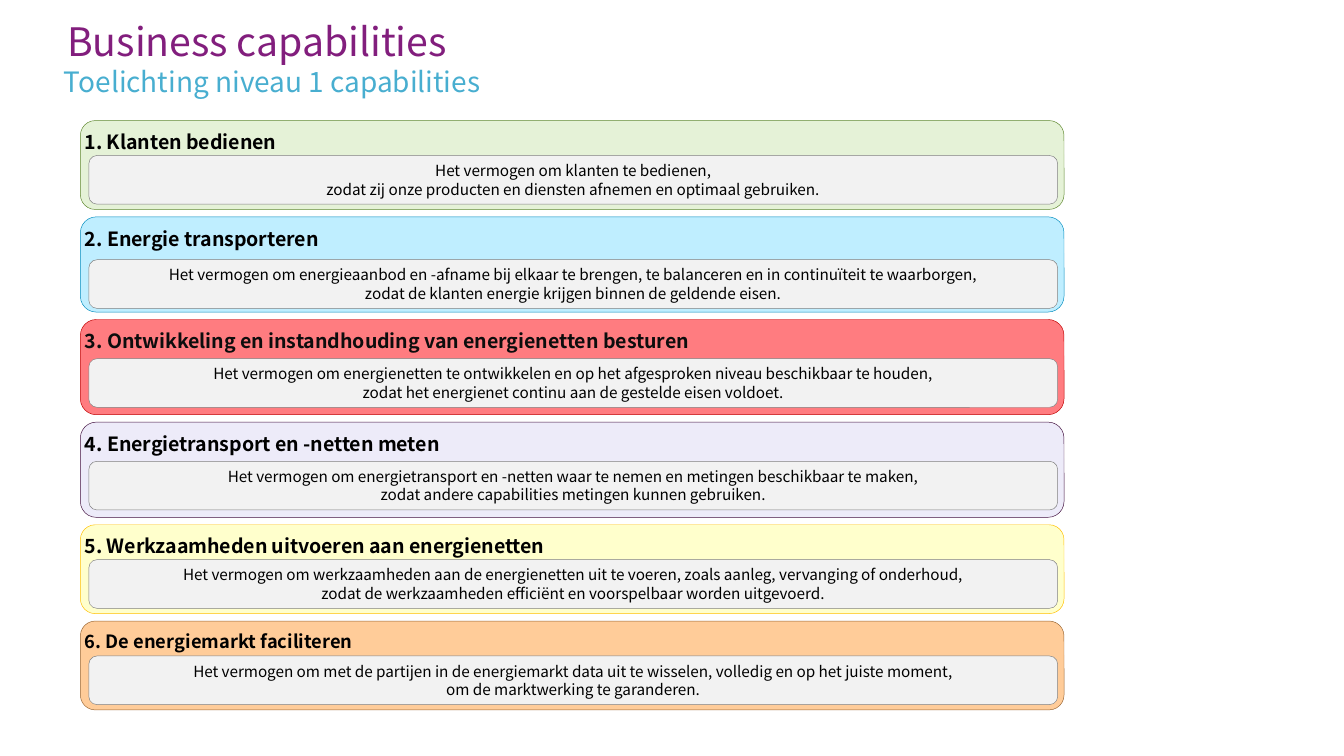
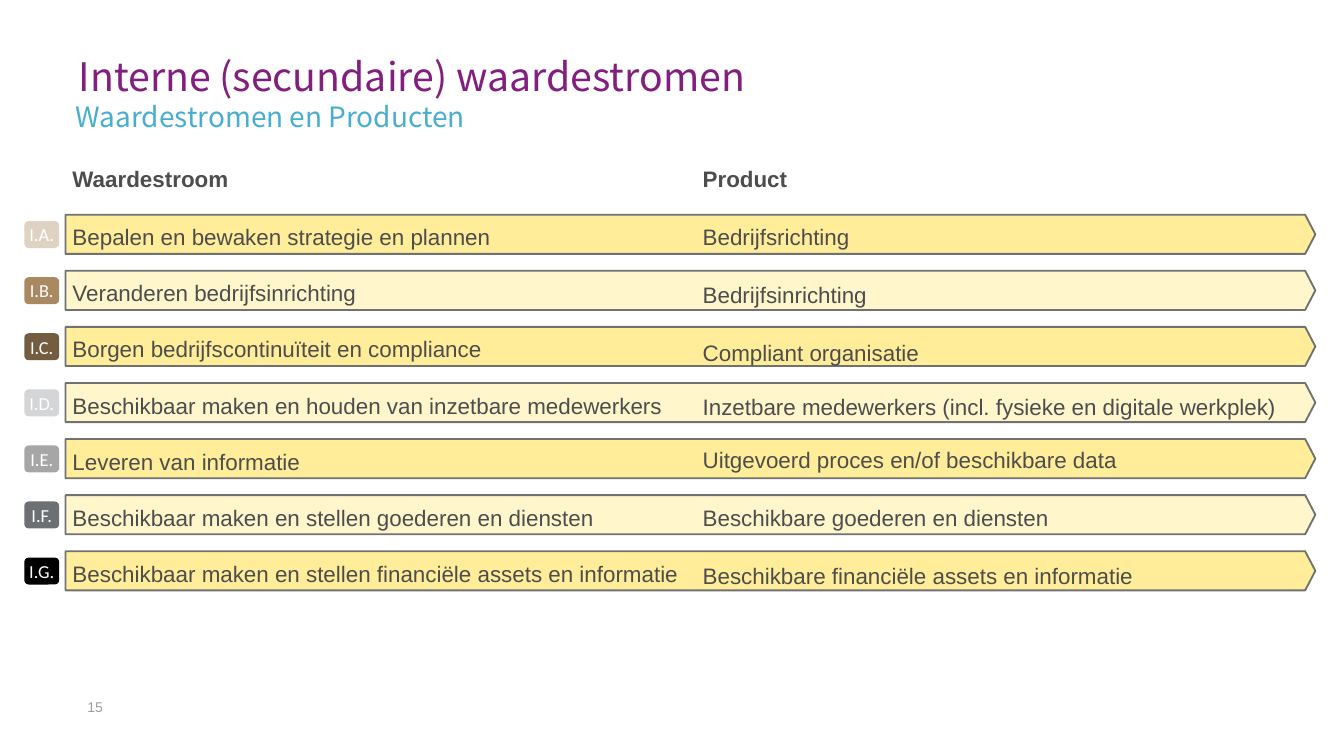
from dataclasses import dataclass

from lxml.etree import SubElement
from pptx import Presentation
from pptx.dml.color import RGBColor
from pptx.enum.shapes import MSO_SHAPE
from pptx.enum.text import MSO_ANCHOR, MSO_AUTO_SIZE, PP_ALIGN
from pptx.oxml.ns import qn
from pptx.util import Cm, Pt


@dataclass(frozen=True)
class Theme:
    heading_font: str = "Noto Sans CJK TC"
    list_font: str = "Arial"
    badge_font: str = "Calibri"
    title: str = "821E7D"
    subtitle: str = "48AED0"
    ink: str = "000000"
    list_ink: str = "4D4D4D"
    page_number: str = "9E9C9E"
    badge_ink: str = "FFFFFF"
    panel: str = "F2F2F2"
    panel_line: str = "808080"
    stream_fills: tuple = ("FFED99", "FFF6CC")
    stream_line: str = "707173"
    title_size: float = 21
    subtitle_size: float = 15
    list_size: float = 12
    card_size: float = 10.5
    badge_size: float = 9.8
    panel_size: float = 8.2
    number_size: float = 7.5


THEME = Theme()

# heading, description lines, fill, line, card height, panel offset, further format
CAPABILITIES = [
    ("1. Klanten bedienen",
     ["Het vermogen om klanten te bedienen,",
      "zodat zij onze producten en diensten afnemen en optimaal gebruiken."],
     "E5F2D7", "5E872D", 1.68, 0.66, {}),
    ("2. Energie transporteren",
     ["Het vermogen om energieaanbod en -afname bij elkaar te brengen, "
      "te balanceren en in continuïteit te waarborgen,",
      "zodat de klanten energie krijgen binnen de geldende eisen."],
     "BFEEFF", "008CBE", 1.8, 0.81, {}),
    ("3. Ontwikkeling en instandhouding van energienetten besturen",
     ["Het vermogen om energienetten te ontwikkelen en op het afgesproken niveau "
      "beschikbaar te houden,",
      "zodat het energienet continu aan de gestelde eisen voldoet."],
     "FF7C80", "C00000", 1.8, 0.74, {"color": "0D0D0D"}),
    ("4. Energietransport en -netten meten",
     ["Het vermogen om energietransport en -netten waar te nemen en metingen "
      "beschikbaar te maken,",
      "zodat andere capabilities metingen kunnen gebruiken."],
     "EDEBF9", "410F3E", 1.8, 0.74, {}),
    ("5. Werkzaamheden uitvoeren aan energienetten",
     ["Het vermogen om werkzaamheden aan de energienetten uit te voeren, "
      "zoals aanleg, vervanging of onderhoud,",
      "zodat de werkzaamheden efficiënt en voorspelbaar worden uitgevoerd."],
     "FFFFCC", "FFC000", 1.68, 0.66, {}),
    ("6. De energiemarkt faciliteren",
     ["Het vermogen om met de partijen in de energiemarkt data uit te wisselen, "
      "volledig en op het juiste moment,",
      "om de marktwerking te garanderen."],
     "FFCC99", "996633", 1.68, 0.66, {"size": 9.8}),
]

# badge, badge fill, value stream, product, space after the product
VALUE_STREAMS = [
    ("I.A.", "DED2C3", "Bepalen en bewaken strategie en plannen", "Bedrijfsrichting", 4.5),
    ("I.B.", "A98962", "Veranderen bedrijfsinrichting", "Bedrijfsinrichting", 4.5),
    ("I.C.", "735C3F", "Borgen bedrijfscontinuïteit en compliance",
     "Compliant organisatie", 2),
    ("I.D.", "D4D5D6", "Beschikbaar maken en houden van inzetbare medewerkers",
     "Inzetbare medewerkers (incl. fysieke en digitale werkplek)", 2),
    ("I.E.", "A6A6A6", "Leveren van informatie",
     "Uitgevoerd proces en/of beschikbare data", 4.5),
    ("I.F.", "6D7073", "Beschikbaar maken en stellen goederen en diensten",
     "Beschikbare goederen en diensten", 4.5),
    ("I.G.", "000000", "Beschikbaar maken en stellen financiële assets en informatie",
     "Beschikbare financiële assets en informatie", 4.5),
]
HEADER_SPACE_AFTER = 4.5
STREAM_SPACE_AFTER = 3.5


def place(box, left, top, width, height):
    box.left, box.top, box.width, box.height = map(Cm, (left, top, width, height))
    return box


def write_text(box, lines, size, font=THEME.heading_font, color=THEME.ink, bold=False,
               first_bold=False, align=PP_ALIGN.LEFT, anchor=MSO_ANCHOR.TOP,
               margins=(0, 0), line_spacing=None, space_before=0, space_after=None):
    """Fill a box with one paragraph a line; margins are (sides, top and bottom) in cm."""
    frame = box.text_frame
    frame.word_wrap = True
    frame.auto_size = MSO_AUTO_SIZE.NONE
    frame.vertical_anchor = anchor
    frame.margin_left = frame.margin_right = Cm(margins[0])
    frame.margin_top = frame.margin_bottom = Cm(margins[1])
    for index, line in enumerate(lines):
        para = frame.add_paragraph() if index else frame.paragraphs[0]
        if box.is_placeholder:
            properties = para._p.get_or_add_pPr()
            properties.set("marL", "0")
            properties.set("indent", "0")
            SubElement(properties, qn("a:buNone"))
        para.alignment = align
        para.space_before = Pt(space_before if index else 0)
        para.space_after = Pt(space_after[index] if space_after else 0)
        if line_spacing:
            para.line_spacing = line_spacing
        span = para.add_run()
        span.text = line
        span.font.name = font
        span.font.size = Pt(size)
        span.font.bold = bold or (first_bold and index == 0)
        span.font.color.rgb = RGBColor.from_string(color)


def add_box(page, kind, bounds, fill, line=None, line_width=0.25):
    box = page.shapes.add_shape(kind, *map(Cm, bounds))
    box.shadow.inherit = False
    box.fill.solid()
    box.fill.fore_color.rgb = RGBColor.from_string(fill)
    if line:
        box.line.color.rgb = RGBColor.from_string(line)
        box.line.width = Pt(line_width)
    else:
        box.line.fill.background()
    return box


def add_label(page, bounds, text, **text_format):
    write_text(page.shapes.add_textbox(*map(Cm, bounds)), [text], **text_format)


def add_page(deck, layout, title, subtitle, left, top):
    page = deck.slides.add_slide(deck.slide_layouts.get_by_name(layout))
    write_text(place(page.shapes.title, left, top, 18.49, 0.99), [title],
               THEME.title_size, color=THEME.title, line_spacing=Pt(28))
    add_label(page, (left - 0.06, top + 0.86, 20, 0.58), subtitle,
              size=THEME.subtitle_size, color=THEME.subtitle, line_spacing=1.2)
    return page


def build_capabilities(deck):
    page = add_page(deck, "Title Only", "Business capabilities",
                    "Toelichting niveau 1 capabilities", 1.27, 0.23)
    top, gap = 2.28, 0.14
    for heading, description, fill, line, height, offset, extra in CAPABILITIES:
        card = add_box(page, MSO_SHAPE.ROUNDED_RECTANGLE,
                       (1.52, top, 18.59, height), fill, line)
        heading_format = {"size": THEME.card_size, "bold": True, "margins": (0, 0.1)}
        write_text(card, [heading], **(heading_format | extra))
        panel = add_box(page, MSO_SHAPE.ROUNDED_RECTANGLE,
                        (1.68, top + offset, 18.31, 0.92), THEME.panel, THEME.panel_line)
        write_text(panel, description, THEME.panel_size, align=PP_ALIGN.CENTER,
                   anchor=MSO_ANCHOR.MIDDLE, margins=(0.25, 0.13))
        top += height + gap


def build_value_streams(deck):
    page = add_page(deck, "Two Content", "Interne (secundaire) waardestromen",
                    "Waardestromen en Producten", 1.49, 0.89)
    first_top, pitch = 4.06, 1.06
    for row, (code, badge_fill, *_) in enumerate(VALUE_STREAMS):
        top = first_top + row * pitch
        arrow = add_box(page, MSO_SHAPE.PENTAGON, (1.24, top, 23.62, 0.74),
                        THEME.stream_fills[row % 2], THEME.stream_line, 1)
        arrow.adjustments[0] = 0.26
        badge = add_box(page, MSO_SHAPE.ROUNDED_RECTANGLE,
                        (0.46, top + 0.12, 0.66, 0.51), badge_fill)
        write_text(badge, [code], THEME.badge_size, font=THEME.badge_font,
                   color=THEME.badge_ink, align=PP_ALIGN.CENTER,
                   anchor=MSO_ANCHOR.MIDDLE, margins=(0, 0.13))

    _, _, streams, products, product_spaces = zip(*VALUE_STREAMS)
    columns = [
        (1, 1.37, 18.72, ["Waardestroom", *streams],
         [STREAM_SPACE_AFTER] * len(streams)),
        (2, 13.28, 11.99, ["Product", *products], product_spaces),
    ]
    for index, left, width, lines, spaces in columns:
        column = place(page.placeholders[index], left, 2.87, width, 9.47)
        write_text(column, lines, THEME.list_size, font=THEME.list_font,
                   color=THEME.list_ink, first_bold=True, line_spacing=1.5,
                   space_before=5, space_after=[HEADER_SPACE_AFTER, *spaces])
        # Bring the column in front of the arrows
        column.element.getparent().append(column.element)
    add_label(page, (1.65, 13.21, 0.99, 0.61), "15", size=THEME.number_size,
              font=THEME.list_font, color=THEME.page_number)


def main():
    deck = Presentation()
    deck.slide_width, deck.slide_height = Cm(25.4), Cm(14.29)
    build_capabilities(deck)
    build_value_streams(deck)
    deck.save("out.pptx")


if __name__ == "__main__":
    main()
